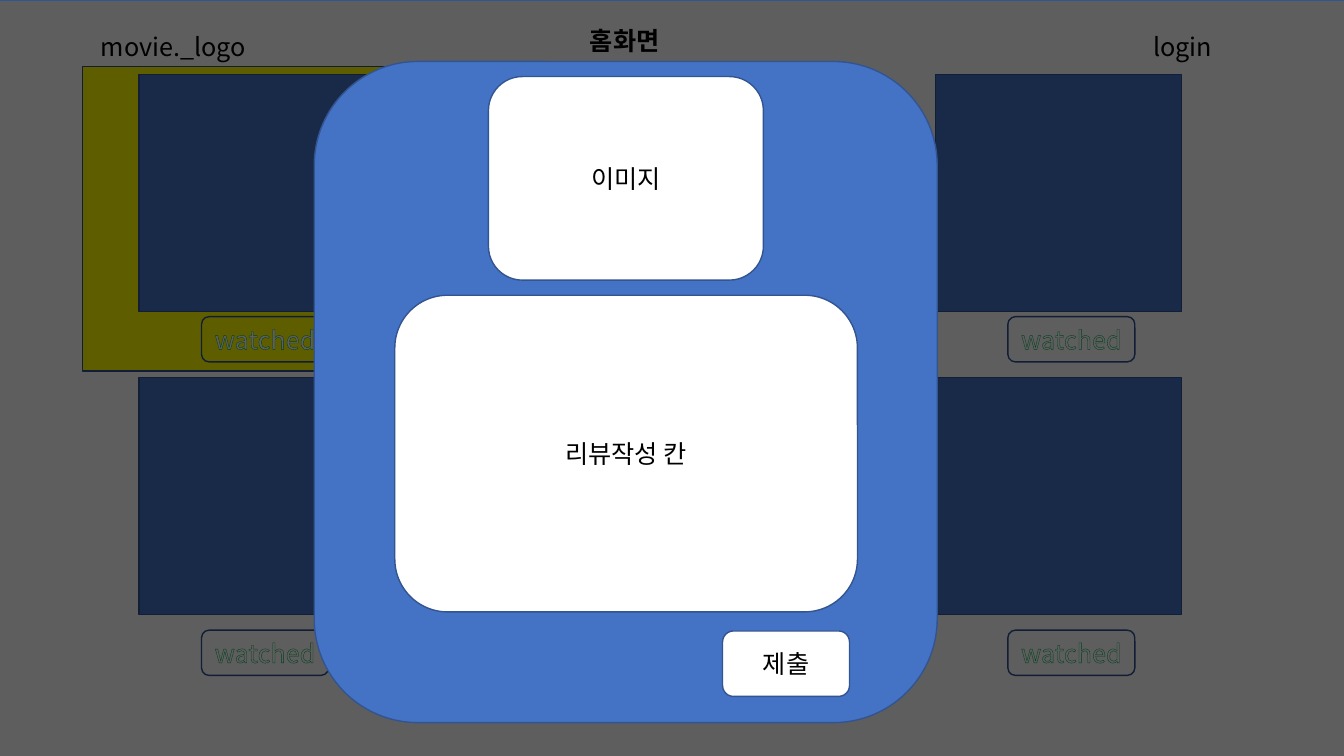
from itertools import product
from lxml.etree import SubElement
from pptx import Presentation
from pptx.dml.color import RGBColor as Rgb
from pptx.enum.shapes import MSO_SHAPE as Kind
from pptx.enum.text import MSO_ANCHOR as Anchor, MSO_AUTO_SIZE as Auto, PP_ALIGN as Align
from pptx.oxml.ns import qn
from pptx.util import Cm, Pt

FONT = "Noto Sans CJK KR"
HUES = {"blue": "4472C4", "edge": "325491", "gold": "FFFF00",
        "white": "FFFFFF", "black": "000000", "green": "00B050"}


def hue(name):
    return Rgb.from_string(HUES[name])


def style(shape, text, color="black", align=Align.LEFT, bold=False):
    frame = shape.text_frame
    frame.text = text
    frame.word_wrap = True
    para = frame.paragraphs[0]
    para.alignment = align
    runs = para.runs
    for font in [para.font] + [run.font for run in runs]:
        font.name = FONT
        font.size = Pt(18)
        font.bold = bold
        font.color.rgb = hue(color)
        SubElement(font._element, qn("a:ea"), typeface=FONT)
    return runs[0]


def block(slide, box, fill=None, kind=Kind.RECTANGLE):
    shape = slide.shapes.add_shape(kind, *map(Cm, box))
    shape.shadow.inherit = False
    if fill:
        shape.fill.solid()
        shape.fill.fore_color.rgb = hue(fill)
    else:
        shape.fill.background()
    shape.line.color.rgb = hue("edge")
    shape.line.width = Pt(1)
    return shape


def button(slide, box, text, fill=None, color="black"):
    shape = block(slide, box, fill, Kind.ROUNDED_RECTANGLE)
    shape.text_frame.vertical_anchor = Anchor.MIDDLE
    return style(shape, text, color, Align.CENTER)


def outline(run, color):
    props = run.font._element
    line = SubElement(props, qn("a:ln"), w=str(Pt(0.75)))
    paint = SubElement(line, qn("a:solidFill"))
    SubElement(paint, qn("a:srgbClr"), val=HUES[color])
    props.insert(0, line)


def cards(slide, box):
    left, top, wide, high = box
    block(slide, (left - 1.42, top - 0.2, 9.2, 7.67), "gold")
    spots = list(product(range(2), range(2)))
    for row, col in spots:
        block(slide, (left + col * (wide - 6.2), top + row * (high - 5.97),
                      6.2, 5.97), "blue")
    for row, col in spots:
        run = button(slide, (left + 1.58 + col * 20.32, top + 6.1 + row * 7.9,
                             3.2, 1.14), "watched", color="white")
        outline(run, "green")


def header(slide, box):
    left, top, wide, high = box
    title = slide.shapes.title
    title.left, title.top = Cm(left + 12.32), Cm(top)
    title.width, title.height = Cm(3.6), Cm(high)
    title.text_frame.vertical_anchor = Anchor.TOP
    title.text_frame.auto_size = Auto.NONE
    style(title, "홈화면", bold=True)
    for text, shift, size in (("movie._logo", 0, 4.57), ("login", wide - 3.6, 3.6)):
        label = slide.shapes.add_textbox(
            Cm(left + shift), Cm(top + 0.15), Cm(size), Cm(high))
        style(label, text)


def veil(slide, box):
    shade = block(slide, box, "black")
    color = shade.fill._xPr.find(qn("a:solidFill"))[0]
    SubElement(color, qn("a:alpha"), val="63000")


def review(slide, box):
    left, top, wide, high = box
    block(slide, box, "blue", Kind.ROUNDED_RECTANGLE)
    for text, x, y, w, h in (("이미지", 4.39, 0.38, 6.93, 5.13),
                             ("리뷰작성 칸", 2.03, 5.89, 11.66, 7.98),
                             ("제출", wide - 5.41, high - 2.31, 3.2, 1.65)):
        button(slide, (left + x, top + y, w, h), text, "white")


deck = Presentation()
deck.slide_width, deck.slide_height = Cm(33.87), Cm(19.05)
home = deck.slides.add_slide(deck.slide_layouts[5])
cards(home, (3.5, 1.88, 26.27, 13.61))
header(home, (2.29, 0.51, 30.12, 1.02))
veil(home, (-0.33, 0, 34.65, 19.33))
review(home, (7.92, 1.55, 15.7, 16.66))
deck.save("out.pptx")
